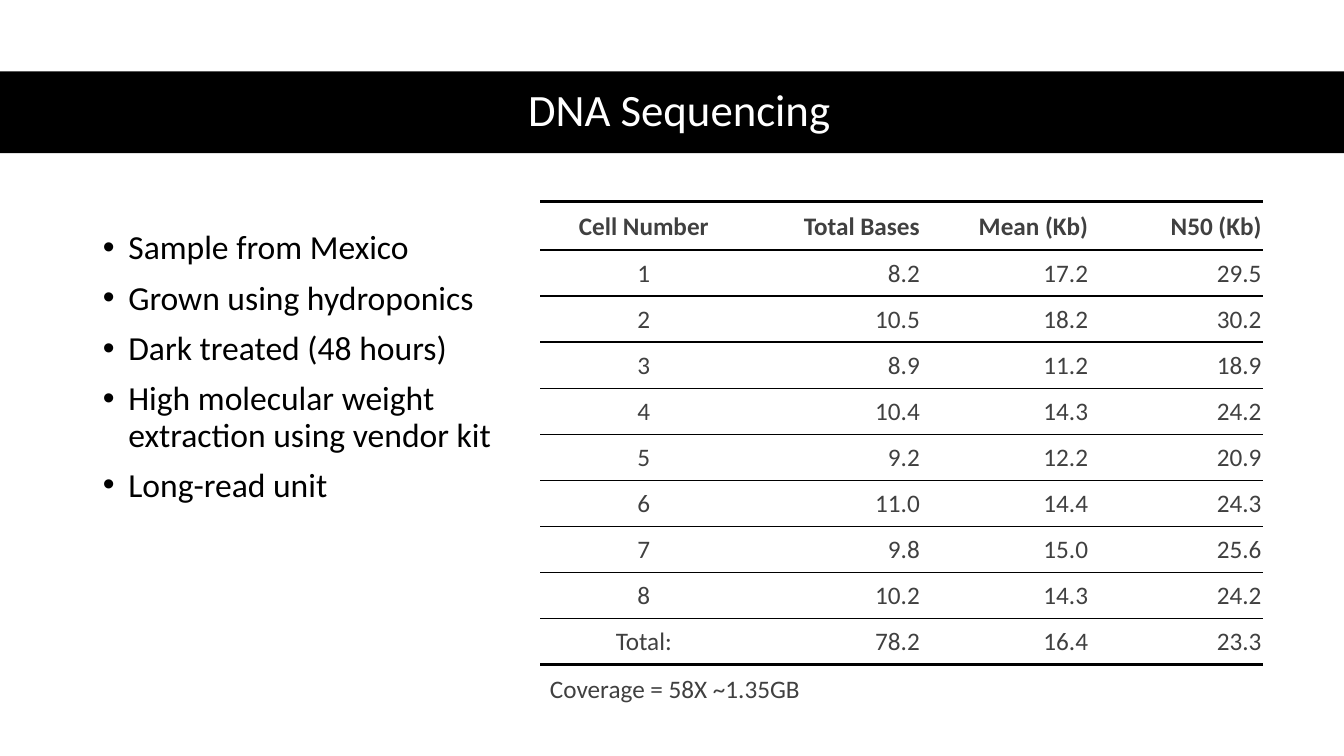
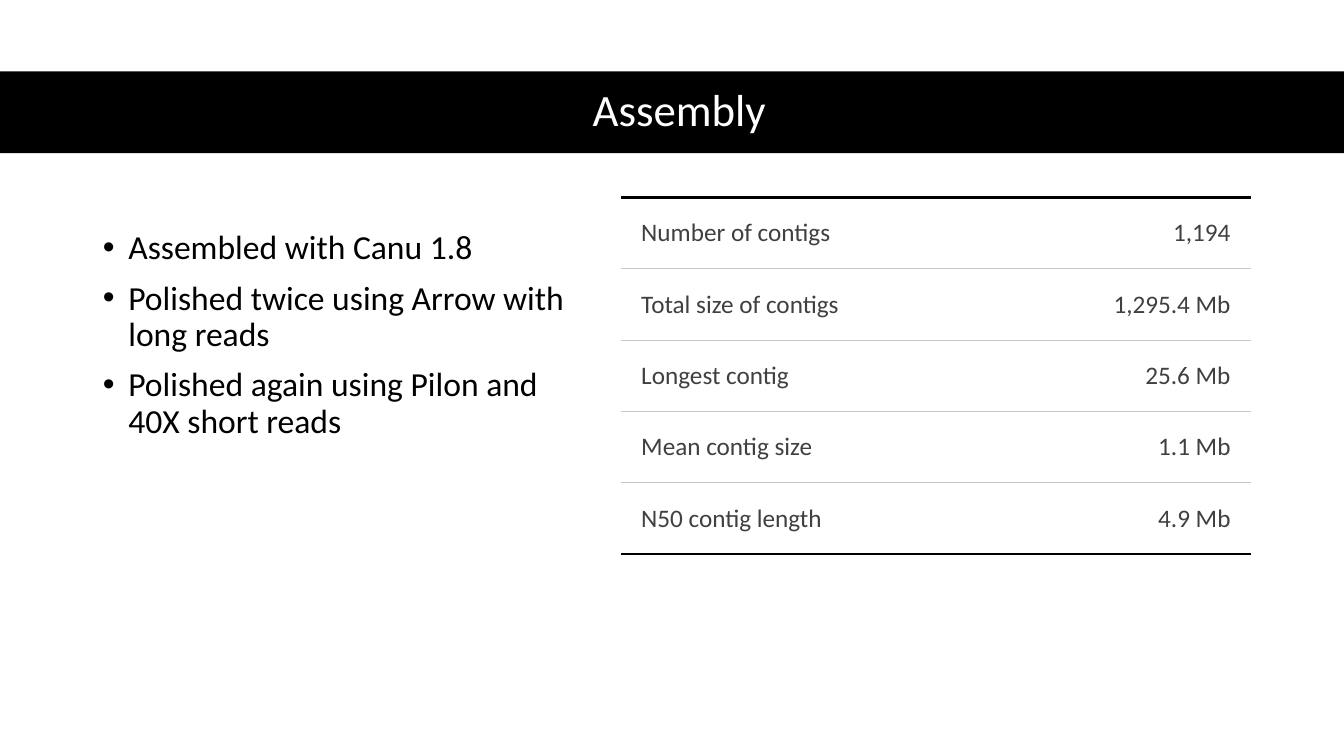
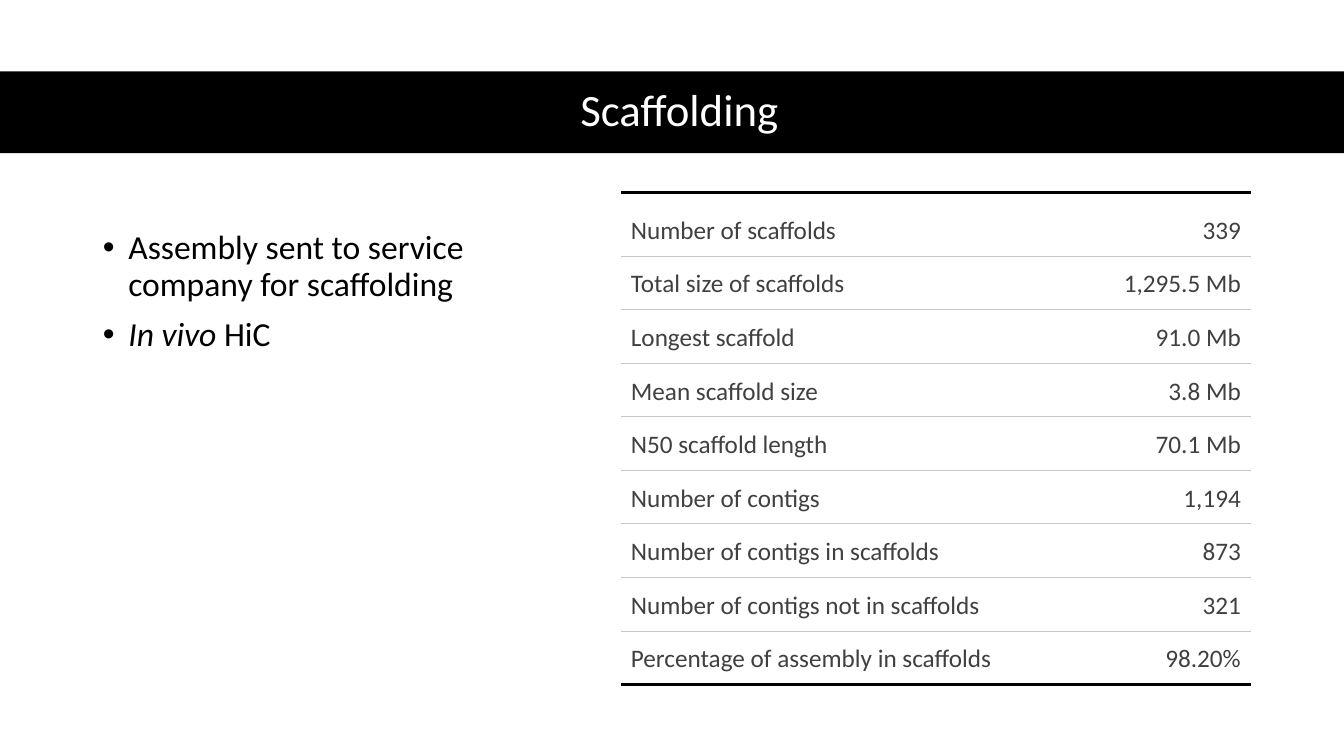
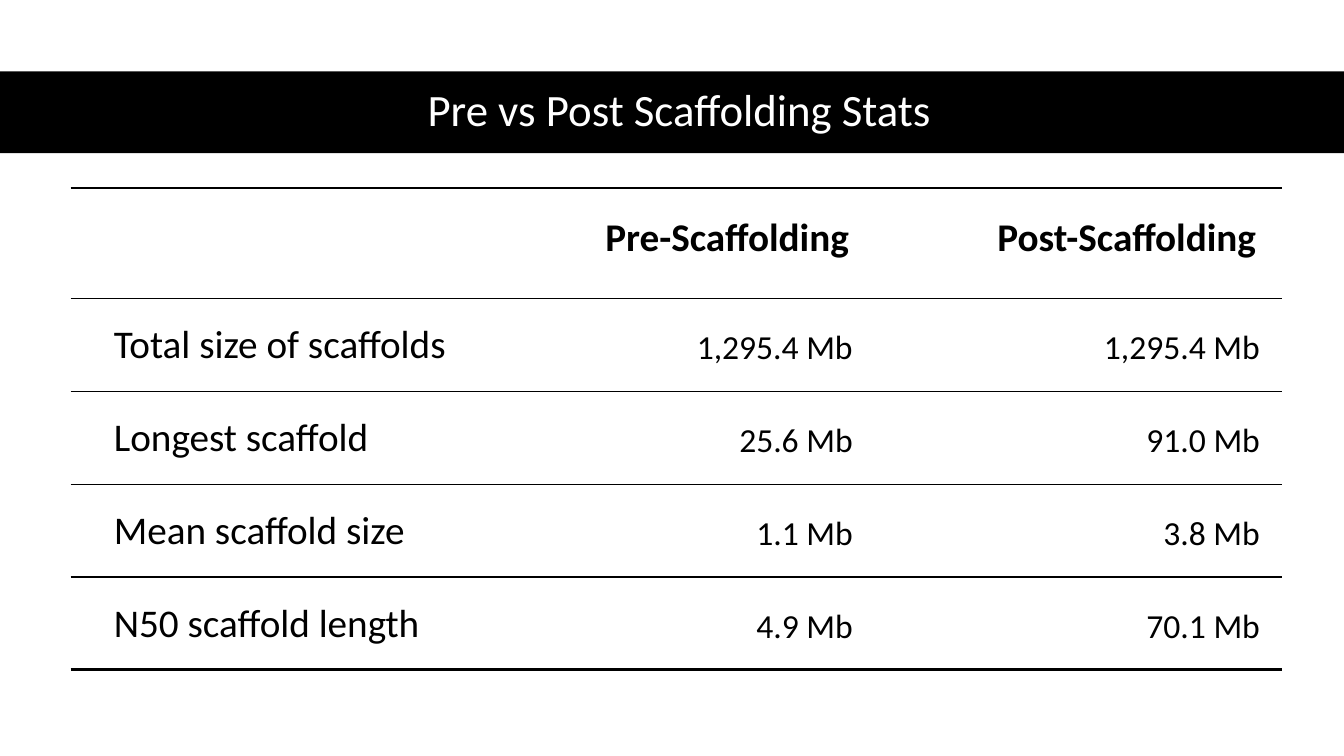
from dataclasses import dataclass

from lxml import etree
from pptx import Presentation
from pptx import util as u
from pptx.dml.color import RGBColor
from pptx.enum import shapes, text
from pptx.oxml import ns

BLACK = RGBColor(0x00, 0x00, 0x00)
WHITE = RGBColor(0xFF, 0xFF, 0xFF)
CHARCOAL = RGBColor(0x40, 0x40, 0x40)
SILVER = RGBColor(0xC7, 0xC6, 0xC1)
FONT = "Calibri"
THICK = 2.25
PLAIN_TABLE = "{2D5ABB26-0587-4C30-8999-92F81FD0307C}"
LEFT, CENTER, RIGHT = text.PP_ALIGN.LEFT, text.PP_ALIGN.CENTER, text.PP_ALIGN.RIGHT
TOP, MIDDLE, BOTTOM = text.MSO_ANCHOR.TOP, text.MSO_ANCHOR.MIDDLE, text.MSO_ANCHOR.BOTTOM

Margins = tuple[float, float, float, float]


@dataclass(frozen=True)
class Bullet:
    lead: str
    tail: str = ""


@dataclass(frozen=True)
class Stats:
    left: float
    top: float
    columns: tuple[float, ...]
    first_height: float
    row_height: float
    rows: tuple[tuple[str, ...], ...]
    margins: Margins
    header: bool = False
    header_margins: Margins | None = None
    header_anchor: text.MSO_ANCHOR = MIDDLE
    anchor: text.MSO_ANCHOR = BOTTOM
    label_align: text.PP_ALIGN = LEFT
    label_size: float = 18
    value_size: float = 18
    color: RGBColor = CHARCOAL
    rule_color: RGBColor = BLACK
    rule_width: float = 1
    footnote: str = ""


@dataclass(frozen=True)
class Topic:
    title: str
    stats: Stats
    bullets: tuple[Bullet, ...] = ()
    bullets_width: float = 12.55


TOPICS = (
    Topic(
        "DNA Sequencing",
        Stats(
            13.61, 5.08, (5.23, 4.39, 4.24, 4.37), 1.22, 1.16,
            (
                ("Cell Number", "Total Bases", "Mean (Kb)", "N50 (Kb)"),
                ("1", "8.2", "17.2", "29.5"),
                ("2", "10.5", "18.2", "30.2"),
                ("3", "8.9", "11.2", "18.9"),
                ("4", "10.4", "14.3", "24.2"),
                ("5", "9.2", "12.2", "20.9"),
                ("6", "11.0", "14.4", "24.3"),
                ("7", "9.8", "15.0", "25.6"),
                ("8", "10.2", "14.3", "24.2"),
                ("Total:", "78.2", "16.4", "23.3"),
            ),
            (0.05, 0.05, 0.05, 0),
            header=True,
            anchor=MIDDLE,
            label_align=CENTER,
            footnote="Coverage = 58X ~1.35GB",
        ),
        (
            Bullet("Sample from Mexico"),
            Bullet("Grown using hydroponics"),
            Bullet("Dark treated (48 hours)"),
            Bullet("High molecular weight extraction using vendor kit"),
            Bullet("Long-read unit"),
        ),
        10.72,
    ),
    Topic(
        "Assembly",
        Stats(
            15.65, 4.98, (10.13, 5.74), 1.79, 1.79,
            (
                ("Number of contigs", "1,194"),
                ("Total size of contigs", "1,295.4 Mb"),
                ("Longest contig", "25.6 Mb"),
                ("Mean contig size", "1.1 Mb"),
                ("N50 contig length", "4.9 Mb"),
            ),
            (0.51, 0.51, 0.51, 0.51),
            rule_color=SILVER,
            rule_width=0.75,
        ),
        (
            Bullet("Assembled with Canu 1.8"),
            Bullet("Polished twice using Arrow with long reads"),
            Bullet("Polished again using Pilon and 40X short reads"),
        ),
    ),
    Topic(
        "Scaffolding",
        Stats(
            15.65, 4.85, (10.13, 5.74), 1.6, 1.35,
            (
                ("Number of scaffolds", "339"),
                ("Total size of scaffolds", "1,295.5 Mb"),
                ("Longest scaffold", "91.0 Mb"),
                ("Mean scaffold size", "3.8 Mb"),
                ("N50 scaffold length", "70.1 Mb"),
                ("Number of contigs", "1,194"),
                ("Number of contigs in scaffolds", "873"),
                ("Number of contigs not in scaffolds", "321"),
                ("Percentage of assembly in scaffolds", "98.20%"),
            ),
            (0.25, 0.25, 0.25, 0.25),
            rule_color=SILVER,
            rule_width=0.75,
        ),
        (
            Bullet("Assembly sent to service company for scaffolding"),
            Bullet("In vivo ", "HiC"),
        ),
    ),
    Topic(
        "Pre vs Post Scaffolding Stats",
        Stats(
            1.78, 4.74, (10.49, 9.78, 10.26), 2.78, 2.34,
            (
                ("", "Pre-Scaffolding", "Post-Scaffolding"),
                ("Total size of scaffolds", "1,295.4 Mb", "1,295.4 Mb"),
                ("Longest scaffold", "25.6 Mb", "91.0 Mb"),
                ("Mean scaffold size", "1.1 Mb", "3.8 Mb"),
                ("N50 scaffold length", "4.9 Mb", "70.1 Mb"),
            ),
            (1.09, 0.56, 0.56, 0.56),
            header=True,
            header_margins=(1.09, 0.66, 0.66, 0.66),
            header_anchor=TOP,
            label_size=28,
            value_size=24,
            color=BLACK,
        ),
    ),
)


def place(shape, left: float, top: float, width: float, height: float) -> None:
    shape.left, shape.top = u.Cm(left), u.Cm(top)
    shape.width, shape.height = u.Cm(width), u.Cm(height)


def style_runs(paragraph, size: float, color: RGBColor, bold: bool = False) -> None:
    for run in paragraph.runs:
        run.font.name = FONT
        run.font.size = u.Pt(size)
        run.font.bold = bold
        run.font.color.rgb = color


def add_heading(slide, title: str) -> None:
    band = slide.shapes.add_shape(
        shapes.MSO_SHAPE.RECTANGLE, 0, u.Cm(1.8), u.Cm(33.87), u.Cm(2.06)
    )
    band.shadow.inherit = False
    band.fill.solid()
    band.fill.fore_color.rgb = BLACK
    band.line.fill.background()
    heading = slide.shapes.title
    heading._element.addprevious(band._element)
    place(heading, 1.55, 1.78, 31.14, 2.06)
    frame = heading.text_frame
    frame.text = title
    frame.auto_size = text.MSO_AUTO_SIZE.NONE
    frame.vertical_anchor = MIDDLE
    paragraph = frame.paragraphs[0]
    paragraph.alignment = CENTER
    paragraph.line_spacing = 0.9
    style_runs(paragraph, 32, WHITE)


def fill_bullets(body, bullets: tuple[Bullet, ...], width: float) -> None:
    place(body, 2.34, 5.69, width, 11.58)
    frame = body.text_frame
    frame.text = "\n".join(bullet.lead for bullet in bullets)
    frame.auto_size = text.MSO_AUTO_SIZE.NONE
    for index, (bullet, paragraph) in enumerate(zip(bullets, frame.paragraphs)):
        paragraph.line_spacing = 0.9
        paragraph.space_before = u.Pt(10 if index else 0)
        properties = paragraph._p.get_or_add_pPr()
        indent = u.Cm(0.64)
        properties.set("marL", str(indent))
        properties.set("indent", str(-indent))
        etree.SubElement(properties, ns.qn("a:buChar"), char="•")
        if bullet.tail:
            paragraph.runs[0].font.italic = True
            paragraph.add_run().text = bullet.tail
        style_runs(paragraph, 24, BLACK)


def add_rule(cell, side: str, color: RGBColor, width: float) -> None:
    rule = etree.Element(ns.qn(f"a:ln{side}"), w=str(u.Pt(width)))
    fill = etree.SubElement(rule, ns.qn("a:solidFill"))
    etree.SubElement(fill, ns.qn("a:srgbClr"), val=str(color))
    cell._tc.get_or_add_tcPr().find(ns.qn("a:noFill")).addprevious(rule)


def fill_cell(
    cell, words: str, margins: Margins, anchor: text.MSO_ANCHOR,
    align: text.PP_ALIGN, size: float, color: RGBColor, bold: bool = False,
) -> None:
    cell.fill.background()
    cell.margin_left, cell.margin_top, cell.margin_right, cell.margin_bottom = map(u.Cm, margins)
    cell.vertical_anchor = anchor
    cell.text_frame.text = words
    paragraph = cell.text_frame.paragraphs[0]
    paragraph.alignment = align
    style_runs(paragraph, size, color, bold)


def add_stats(slide, stats: Stats) -> None:
    ruled = len(stats.rows)
    heights = [stats.first_height] + [stats.row_height] * (ruled - 1)
    if stats.footnote:
        heights.append(1.28)
    frame = slide.shapes.add_table(
        len(heights), len(stats.columns), u.Cm(stats.left), u.Cm(stats.top),
        u.Cm(sum(stats.columns)), u.Cm(sum(heights)),
    )
    table = frame.table
    table.first_row = table.horz_banding = False
    table._tbl.tblPr.find(ns.qn("a:tableStyleId")).text = PLAIN_TABLE
    for column, width in zip(table.columns, stats.columns):
        column.width = u.Cm(width)
    for row, height in zip(table.rows, heights):
        row.height = u.Cm(height)

    edges = [(stats.rule_color, stats.rule_width)] * (ruled + 1)
    edges[0] = edges[-1] = (BLACK, THICK)
    for r, row in enumerate(stats.rows):
        heading = stats.header and r == 0
        margins = stats.header_margins if heading and stats.header_margins else stats.margins
        anchor = stats.header_anchor if heading else stats.anchor
        for c, words in enumerate(row):
            cell = table.cell(r, c)
            align = RIGHT if c else stats.label_align
            size = stats.value_size if c and not heading else stats.label_size
            fill_cell(cell, words, margins, anchor, align, size, stats.color, heading)
            add_rule(cell, "T", *edges[r])
            add_rule(cell, "B", *edges[r + 1])

    if stats.footnote:
        note = table.cell(ruled, 0)
        note.merge(table.cell(ruled, len(stats.columns) - 1))
        fill_cell(note, stats.footnote, (0.25,) * 4, BOTTOM, LEFT, stats.label_size, stats.color)
        add_rule(note, "T", *edges[-1])


def main() -> None:
    deck = Presentation()
    deck.slide_width, deck.slide_height = u.Cm(33.87), u.Cm(19.05)
    for topic in TOPICS:
        layout = deck.slide_layouts[1 if topic.bullets else 5]
        slide = deck.slides.add_slide(layout)
        add_heading(slide, topic.title)
        add_stats(slide, topic.stats)
        if topic.bullets:
            fill_bullets(slide.placeholders[1], topic.bullets, topic.bullets_width)
    deck.save("out.pptx")


if __name__ == "__main__":
    main()
